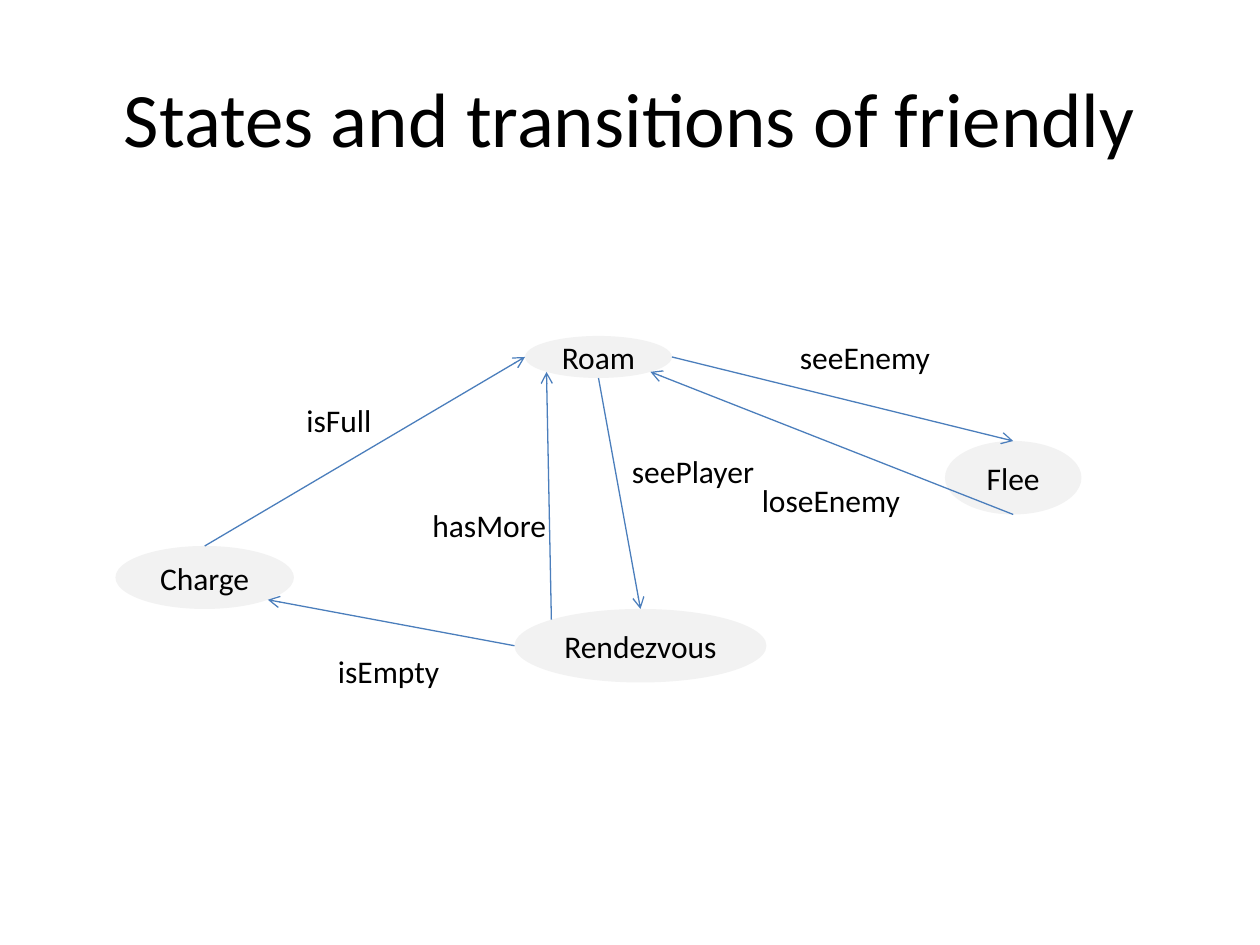
from math import cos, radians, sin

from lxml.etree import SubElement
from pptx import Presentation
from pptx.dml.color import RGBColor
from pptx.enum.shapes import MSO_CONNECTOR as Connector, MSO_SHAPE as Shape
from pptx.enum.text import MSO_ANCHOR as Anchor, MSO_AUTO_SIZE as AutoSize, PP_ALIGN as Align
from pptx.oxml.ns import qn
from pptx.util import Pt

STATES = {
    "Charge": (66, 312, 102, 36),
    "Roam": (300, 192, 84, 24),
    "Flee": (540, 252, 78, 42),
    "Rendezvous": (294, 348, 144, 42),
}
SITE_ANGLES = {
    "right": 0, "bottom right": 45, "bottom": 90, "bottom left": 135,
    "left": 180, "top left": 225, "top": 270,
}
TRANSITIONS = [
    ("isFull", "Charge", "top", "Roam", "left", (168, 225.5, 52)),
    ("seeEnemy", "Roam", "right", "Flee", "top", (450, 189.5, 90)),
    ("loseEnemy", "Flee", "bottom", "Roam", "bottom right", (428.25, 271.5, 94)),
    ("seePlayer", "Roam", "bottom", "Rendezvous", "top", (354, 255, 85)),
    ("isEmpty", "Rendezvous", "left", "Charge", "bottom right", (186, 369, 73)),
    ("hasMore", "Rendezvous", "top left", "Roam", "bottom left", (240, 285.5, 80)),
]


def color(value):
    """Turn a hex string into a colour."""
    return RGBColor.from_string(value)


def write(shape, text, size=18, alignment=Align.CENTER):
    """Write one run of black text into a shape."""
    paragraph = shape.text_frame.paragraphs[0]
    paragraph.alignment = alignment
    run = paragraph.add_run()
    run.text = text
    run.font.name = "Calibri"
    run.font.size = Pt(size)
    run.font.color.rgb = color("000000")


def add_title(slide, text):
    """Add the centred slide title."""
    title = slide.shapes.add_textbox(Pt(36), Pt(21.6), Pt(648), Pt(90))
    title.text_frame.word_wrap = True
    title.text_frame.vertical_anchor = Anchor.MIDDLE
    write(title, text, size=44)


def add_state(slide, name, bounds):
    """Add one state as a named ellipse."""
    state = slide.shapes.add_shape(Shape.OVAL, *map(Pt, bounds))
    state.shadow.inherit = False
    state.fill.solid()
    state.fill.fore_color.rgb = color("F2F2F2")
    state.line.fill.background()
    state.text_frame.vertical_anchor = Anchor.MIDDLE
    write(state, name)


def site_point(name, site):
    """Return the point of a connection site on the rim of a state."""
    left, top, width, height = STATES[name]
    angle = radians(SITE_ANGLES[site])
    x = left + width / 2 * (1 + cos(angle))
    y = top + height / 2 * (1 + sin(angle))
    return Pt(x), Pt(y)


def add_arrow(slide, start, end):
    """Add a straight arrow between two points."""
    arrow = slide.shapes.add_connector(Connector.STRAIGHT, *start, *end)
    arrow.line.width = Pt(0.75)
    arrow.line.color.rgb = color("4B7EBC")
    properties = arrow.element.spPr
    SubElement(properties.find(qn("a:ln")), qn("a:tailEnd"), type="arrow")
    SubElement(properties, qn("a:effectLst"))


def add_label(slide, text, left, top, width):
    """Add the name of a transition."""
    label = slide.shapes.add_textbox(Pt(left), Pt(top), Pt(width), Pt(29))
    label.text_frame.word_wrap = False
    label.text_frame.auto_size = AutoSize.SHAPE_TO_FIT_TEXT
    write(label, text, alignment=Align.LEFT)


def main():
    """Build and save the state diagram."""
    presentation = Presentation()
    presentation.slide_width, presentation.slide_height = Pt(720), Pt(540)
    slide = presentation.slides.add_slide(presentation.slide_layouts[6])
    add_title(slide, "States and transitions of friendly")
    for name, bounds in STATES.items():
        add_state(slide, name, bounds)
    for text, source, exit_site, target, entry_site, place in TRANSITIONS:
        add_arrow(slide, site_point(source, exit_site), site_point(target, entry_site))
        add_label(slide, text, *place)
    presentation.save("out.pptx")


if __name__ == "__main__":
    main()
